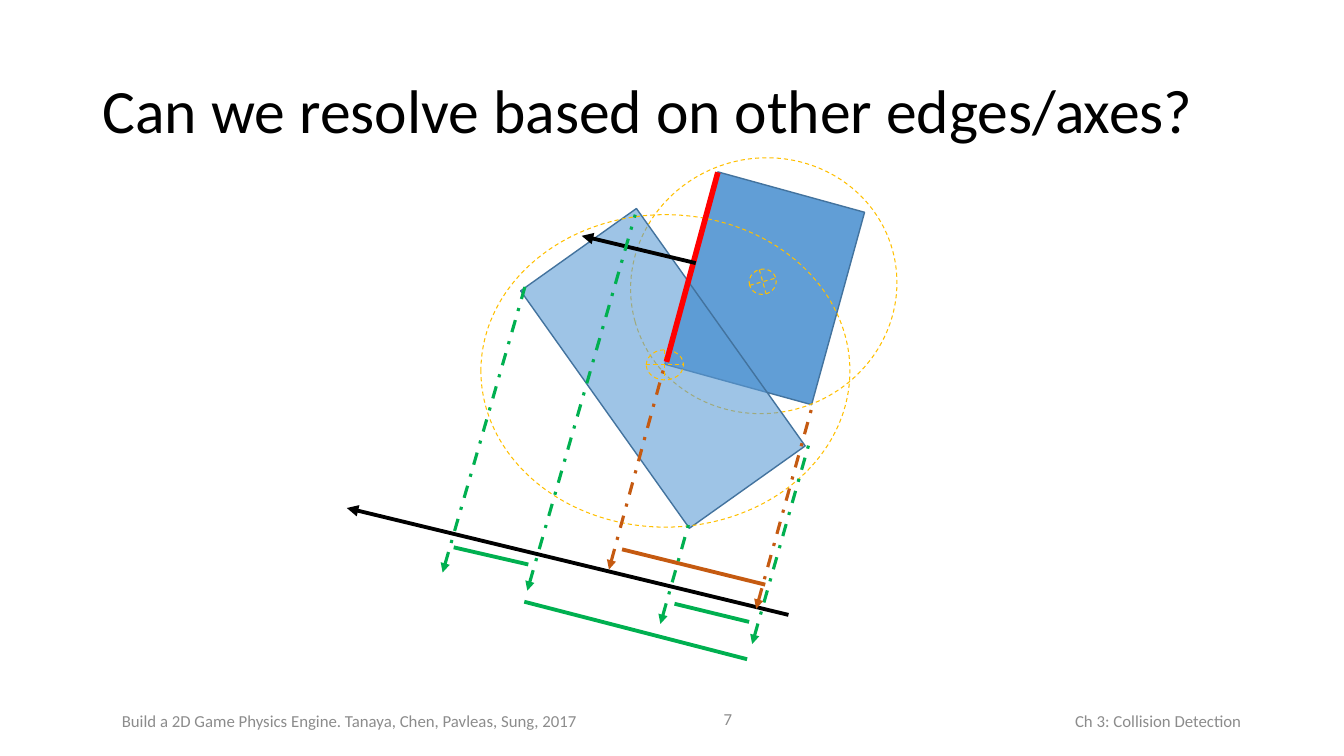
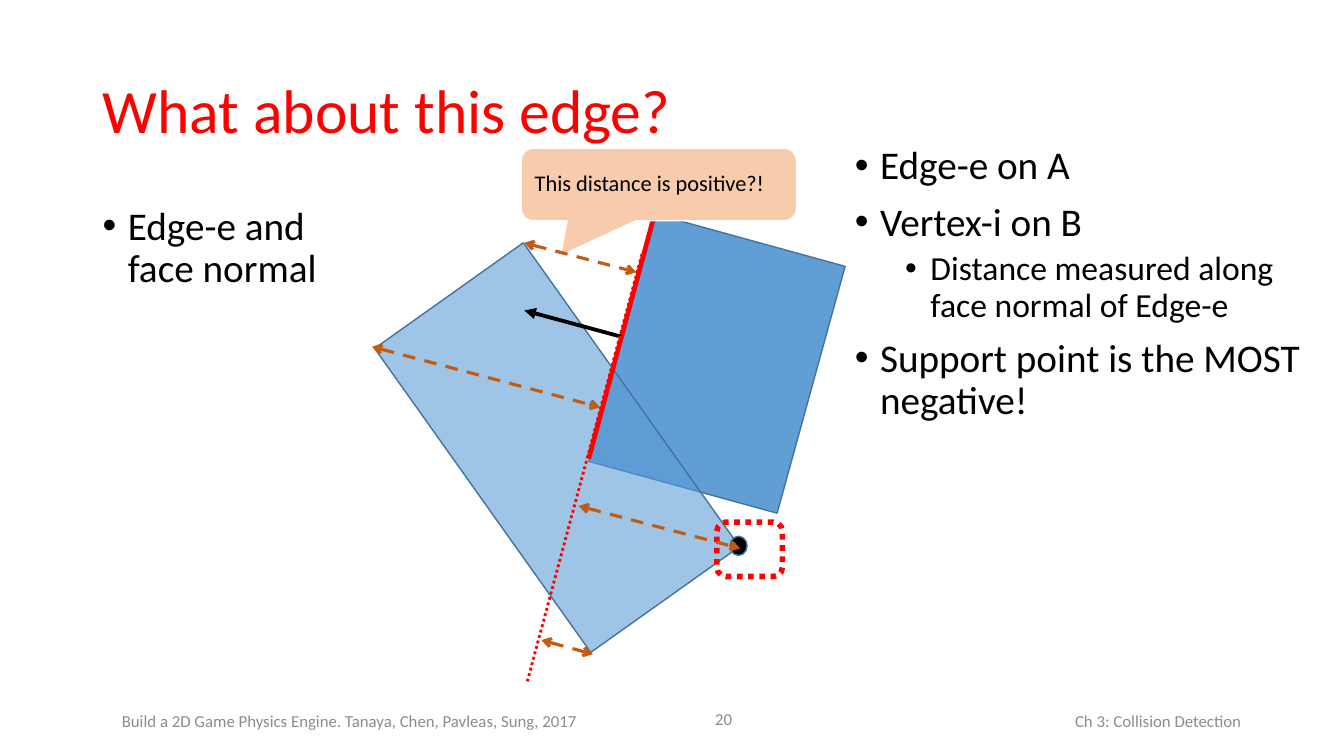
from lxml import etree
from pptx import Presentation
from pptx.dml.color import RGBColor
from pptx.enum.dml import MSO_LINE as DASH
from pptx.enum.shapes import MSO_CONNECTOR, MSO_SHAPE as SHAPE
from pptx.enum.text import MSO_ANCHOR as ANCHOR, PP_ALIGN as ALIGN
from pptx.oxml.ns import qn
from pptx.util import Inches, Pt

FONT = "Calibri"
BLACK, RED, GREY, GREEN = "000000", "FF0000", "8C8C8C", "00B050"
BLUE, OUTLINE, GOLD, RUST, PEACH = "5B9BD5", "43739E", "FFC000", "C55A11", "F8CBAD"

# Shape kinds: preset, fill, opacity in percent, line colour, line width, dash
SHAPES = {
    "box A": (SHAPE.RECTANGLE, BLUE, 96, OUTLINE, 1, None),
    "box B": (SHAPE.RECTANGLE, BLUE, 59, OUTLINE, 1, None),
    "bound": (SHAPE.OVAL, None, 100, GOLD, 0.75, DASH.DASH),
    "centre": (SHAPE.FLOWCHART_OR, None, 100, GOLD, 0.75, DASH.DASH),
    "vertex": (SHAPE.OVAL, BLACK, 100, OUTLINE, 1, None),
    "support": (SHAPE.ROUNDED_RECTANGLE, None, 100, RED, 4, DASH.ROUND_DOT),
    "callout": (SHAPE.ROUNDED_RECTANGULAR_CALLOUT, PEACH, 100, "FFFFFF", 1, None),
}
# Line kinds: colour, width, dash, arrowhead at start, arrowhead at end
LINES = {
    "thick edge": (RED, 4, None, None, None),
    "edge": (RED, 3.25, None, None, None),
    "edge line": (RED, 2, DASH.ROUND_DOT, None, None),
    "normal": (BLACK, 2.75, None, None, "triangle"),
    "project A": (RUST, 2.25, DASH.DASH_DOT, "triangle", None),
    "project B": (GREEN, 2.25, DASH.DASH_DOT, "triangle", None),
    "span A": (RUST, 2.75, None, None, None),
    "span B": (GREEN, 2.75, None, None, None),
    "distance": (RUST, 2.25, DASH.DASH, "arrow", "arrow"),
}
# Bullet levels: size, left indent in inches, space before
LEVELS = [(28, 0.25, 10), (24, 0.75, 5)]

# Shared footers: text, box, alignment
FOOTERS = [
    ("Ch 3: Collision Detection", (7.6, 6.95, 4.81, 0.4), ALIGN.RIGHT),
    ("Build a 2D Game Physics Engine. Tanaya, Chen, Pavleas, Sung, 2017",
     (1.11, 6.95, 5.05, 0.4), ALIGN.LEFT),
]
NUMBER_BOX = (6.17, 6.93, 1.19, 0.4)
TITLE_BOX = (0.92, 0.4, 11.5, 1.45)

# Slides; parts run back to front: shapes have (box, rotation), lines (start, end)
SLIDES = [
    {
        "title": "Can we resolve based on other edges/axes?",
        "color": BLACK, "number": 7, "bullets": [],
        "parts": [
            ("box A", (6.83, 1.87, 1.51, 1.98), 15.4),
            ("bound", (6.25, 1.57, 2.65, 2.53), 344.4),
            ("centre", (7.43, 2.67, 0.27, 0.25), 344.4),
            ("box B", (5.87, 2.21, 1.41, 2.89), 324.6),
            ("bound", (4.77, 2.13, 3.66, 3.1), 0),
            ("centre", (6.41, 3.47, 0.37, 0.3), 0),
            ("thick edge", (6.61, 3.59), (7.12, 1.71)),
            ("normal", (6.9, 2.61), (5.77, 2.34)),
            ("project A", (6.04, 5.65), (6.6, 3.59)),
            ("span A", (7.59, 5.8), (6.17, 5.45)),
            ("project B", (7.46, 6.39), (8.03, 4.38)),
            ("span B", (5.24, 5.6), (4.5, 5.43)),
            ("normal", (7.82, 6.1), (3.44, 5.04)),
            ("project A", (7.5, 6.04), (8.07, 3.98)),
            ("project B", (6.55, 6.19), (6.83, 5.2)),
            ("project B", (5.23, 5.86), (6.3, 2.13)),
            ("project B", (4.39, 5.68), (5.22, 2.8)),
            ("span B", (7.43, 6.17), (6.69, 5.99)),
            ("span B", (7.41, 6.54), (5.2, 5.97)),
        ],
    },
    {
        "title": "What about this edge?",
        "color": RED, "number": 20,
        "bullets": [
            ((0.92, 2, 11.5, 4.76), [(0, "Edge-e and \nface normal")]),
            ((8.38, 1.4, 4.95, 3.44), [
                (0, "Edge-e on A"),
                (0, "Vertex-i on B"),
                (1, "Distance measured along face normal of Edge-e"),
                (0, "Support point is the MOST negative!"),
            ]),
        ],
        "parts": [
            ("box A", (6.14, 2.34, 1.94, 2.54), 15.4),
            ("box B", (4.62, 2.59, 1.81, 3.7), 324.6),
            ("edge", (5.84, 4.55), (6.49, 2.13)),
            ("normal", (6.16, 3.34), (5.2, 3.08), ("box A", 1)),
            ("vertex", (7.24, 5.32, 0.17, 0.19), 0),
            ("distance", (3.69, 3.44), (5.95, 4.04)),
            ("support", (7.11, 5.18, 0.65, 0.54), 0),
            ("callout", (5.17, 1.47, 2.73, 0.72), 0),
            ("distance", (5.2, 2.41), (6.31, 2.7)),
            ("edge line", (5.23, 6.76), (6.37, 2.51)),
            ("distance", (5.37, 6.35), (5.88, 6.49)),
            ("distance", (5.74, 5.02), (7.34, 5.44)),
        ],
    },
]
CALLOUT_TEXT = "This distance is positive?!"
CALLOUT_ADJUST = (-0.357, 0.981, 0.167)


def rgb(color):
    return RGBColor.from_string(color)


def inches(values):
    return [Inches(v) for v in values]


def set_line(line, color, width, dash):
    line.color.rgb = rgb(color)
    line.width = Pt(width)
    if dash:
        line.dash_style = dash


def write(p, text, size, color=BLACK, **formats):
    p.text = text
    for name, value in formats.items():
        setattr(p, name, value)
    for r in p.runs:
        for name, value in {"name": FONT, "size": Pt(size)}.items():
            setattr(r.font, name, value)
        r.font.color.rgb = rgb(color)


def add_box(s, box, anchor=ANCHOR.MIDDLE):
    tf = s.shapes.add_textbox(*inches(box)).text_frame
    tf.word_wrap = True
    tf.vertical_anchor = anchor
    return tf


def add_bullets(s, box, items):
    tf = add_box(s, box, ANCHOR.TOP)
    for i, (level, text) in enumerate(items):
        p = tf.add_paragraph() if i else tf.paragraphs[0]
        size, indent, before = LEVELS[level]
        write(p, text, size, level=level, line_spacing=0.9, space_before=Pt(before))
        pPr = p._p.get_or_add_pPr()
        pPr.set("marL", str(Inches(indent)))
        pPr.set("indent", str(-Inches(0.25)))
        etree.SubElement(pPr, qn("a:buFont"), typeface="Arial")
        etree.SubElement(pPr, qn("a:buChar"), char="•")


def add_figure(s, kind, box, rotation):
    preset, fill, opacity, *line = SHAPES[kind]
    sp = s.shapes.add_shape(preset, *inches(box))
    sp.shadow.inherit = False
    sp.rotation = rotation
    set_line(sp.line, *line)
    if fill:
        sp.fill.solid()
        sp.fill.fore_color.rgb = rgb(fill)
        if opacity < 100:
            clr = sp._element.spPr.find(qn("a:solidFill"))[0]
            etree.SubElement(clr, qn("a:alpha"), val=str(opacity * 1000))
    else:
        sp.fill.background()
    return sp


def add_line(s, kind, start, end, anchor=None):
    *style, head, tail = LINES[kind]
    cx = s.shapes.add_connector(MSO_CONNECTOR.STRAIGHT, *inches(start + end))
    if anchor:
        # Keep the start on the turned side of the box
        cx.begin_connect(*anchor)
        cx.begin_x, cx.begin_y = inches(start)
    set_line(cx.line, *style)
    ln = cx.line._get_or_add_ln()
    for tag, arrow in (("a:headEnd", head), ("a:tailEnd", tail)):
        if arrow:
            etree.SubElement(ln, qn(tag), type=arrow)
    etree.SubElement(cx._element.spPr, qn("a:effectLst"))


def add_callout_text(sp):
    for i, value in enumerate(CALLOUT_ADJUST):
        sp.adjustments[i] = value
    tf = sp.text_frame
    tf.word_wrap = True
    tf.vertical_anchor = ANCHOR.MIDDLE
    write(tf.paragraphs[0], CALLOUT_TEXT, 16, alignment=ALIGN.LEFT, line_spacing=0.9)


def build_slide(prs, content):
    s = prs.slides.add_slide(prs.slide_layouts[6])
    # Footers and title
    number = (str(content["number"]), NUMBER_BOX, ALIGN.RIGHT)
    for text, box, align in FOOTERS + [number]:
        write(add_box(s, box).paragraphs[0], text, 12, GREY, alignment=align)
    write(add_box(s, TITLE_BOX).paragraphs[0], content["title"], 44,
          content["color"], line_spacing=0.9)
    for box, items in content["bullets"]:
        add_bullets(s, box, items)
    # Diagram
    drawn = {}
    for kind, first, second, *glue in content["parts"]:
        if kind in SHAPES:
            drawn[kind] = add_figure(s, kind, first, second)
        else:
            anchor = (drawn[glue[0][0]], glue[0][1]) if glue else None
            add_line(s, kind, first, second, anchor)
    if "callout" in drawn:
        add_callout_text(drawn["callout"])


def main():
    prs = Presentation()
    prs.slide_width, prs.slide_height = inches((13.33, 7.5))
    for content in SLIDES:
        build_slide(prs, content)
    prs.save("out.pptx")


if __name__ == "__main__":
    main()
